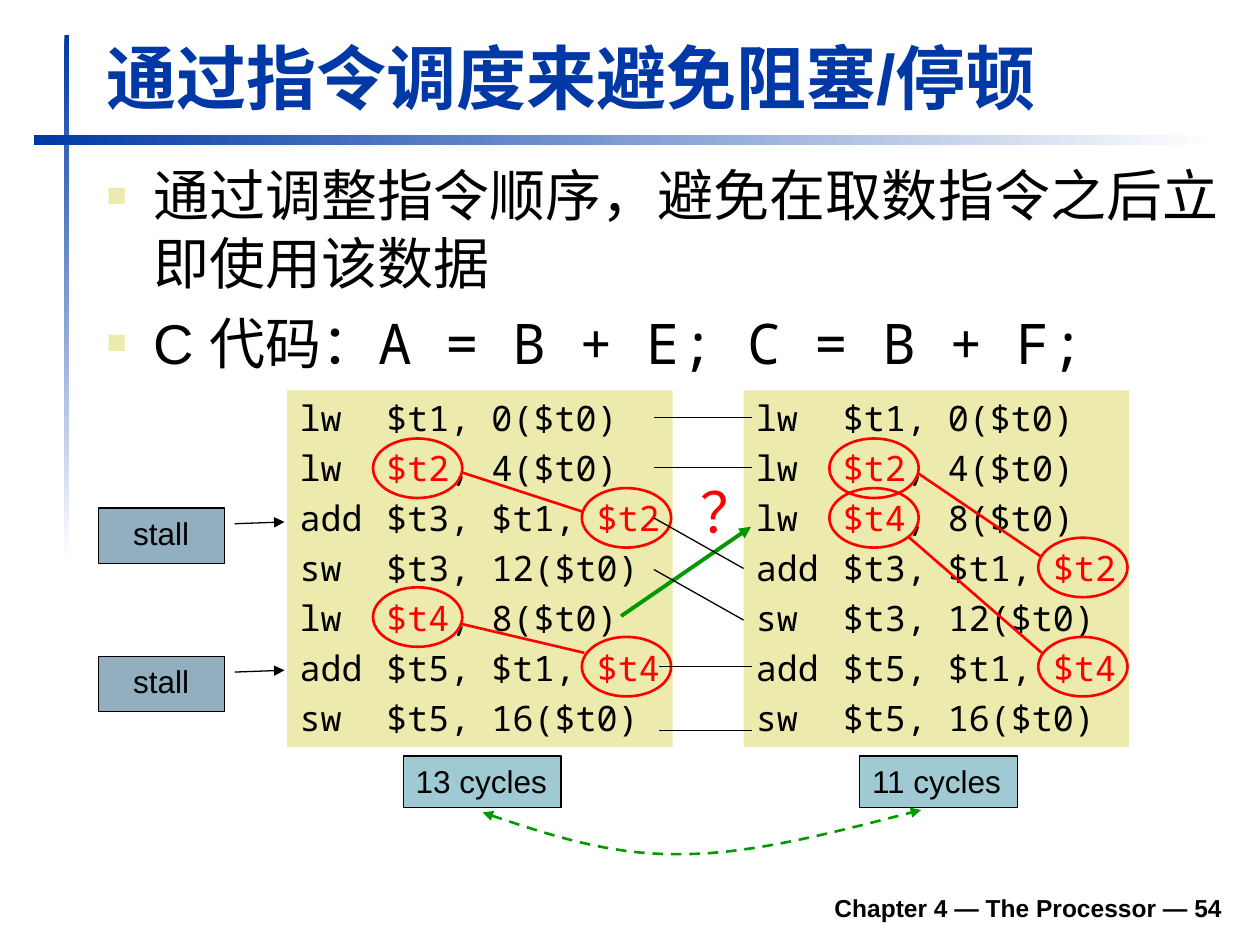
from lxml import etree
from pptx import Presentation
from pptx.dml.color import RGBColor
from pptx.enum.dml import MSO_LINE
from pptx.enum.shapes import MSO_CONNECTOR, MSO_SHAPE
from pptx.enum.text import MSO_ANCHOR, MSO_AUTO_SIZE, PP_ALIGN
from pptx.oxml.ns import qn
from pptx.util import Cm, Pt

RECT, OVAL = MSO_SHAPE.RECTANGLE, MSO_SHAPE.OVAL
CALLOUT = MSO_SHAPE.LINE_CALLOUT_1
LEFT, MID, RIGHT = PP_ALIGN.LEFT, PP_ALIGN.CENTER, PP_ALIGN.RIGHT
TOP, BOTTOM = MSO_ANCHOR.TOP, MSO_ANCHOR.BOTTOM
FIXED = MSO_AUTO_SIZE.NONE
STRAIGHT, DASH = MSO_CONNECTOR.STRAIGHT, MSO_LINE.DASH

SANS, MONO = "Arial", "Noto Sans Mono"
BLUE, RED, GREEN, BLACK = "0039A6", "FF0000", "009900", "000000"
SAND, STEEL, AQUA = "ECEAAC", "91AFBF", "9FCAD3"

# Each marked register sits between bars
OLD = ["lw\t$t1, 0($t0)", "lw\t|$t2|, 4($t0)", "add\t$t3, $t1, |$t2|",
       "sw\t$t3, 12($t0)", "lw\t|$t4|, 8($t0)", "add\t$t5, $t1, |$t4|",
       "sw\t$t5, 16($t0)"]
NEW = [OLD[i] for i in (0, 1, 4, 2, 3, 5, 6)]
PANELS = [(5.79, OLD, "13 cycles"), (14.99, NEW, "11 cycles")]

# Line ends in cm: x1, y1, x2, y2
LINKS = [(9.3, 9.52, 11.73, 10.31), (9.27, 12.57, 11.78, 13.16),
         (18.52, 9.55, 21, 11.23), (18.31, 10.82, 21, 13.16)]
MOVES = [(13.18, 8.41, 15.16, 8.41), (13.18, 9.42, 15.16, 9.42),
         (13.18, 10.44, 14.99, 11.46), (13.18, 11.48, 14.99, 12.5),
         (13.28, 13.44, 15.16, 13.44), (13.28, 14.73, 15.16, 14.73)]
CURVES = [[(9.73, 16.38), (11, 16.81), (12.27, 17.25), (13.74, 17.22)],
          [(13.74, 17.22), (15.21, 17.22), (16.89, 16.76), (18.57, 16.33)]]


def color(code):
    return RGBColor.from_string(code)


def put(obj, vals):
    for name, val in vals.items():
        setattr(obj, name, val)


def place(shape, x, y, w, h):
    put(shape, {"left": Cm(x), "top": Cm(y), "width": Cm(w), "height": Cm(h)})


def node(parent, tag, **vals):
    return etree.SubElement(parent, qn("a:" + tag), vals)


def write(para, text, size, hue=BLACK, font=SANS, bold=False):
    run = para.add_run()
    run.text = text
    put(run.font, {"size": Pt(size), "name": font, "bold": bold})
    run.font.color.rgb = color(hue)


def setup(frame, wrap=True, anchor=TOP, align=LEFT):
    put(frame, {"auto_size": FIXED, "word_wrap": wrap,
                "vertical_anchor": anchor})
    para = frame.paragraphs[0]
    para.alignment = align
    return para


def label(slide, box, **fmt):
    area = slide.shapes.add_textbox(*map(Cm, box))
    return area.text_frame, setup(area.text_frame, **fmt)


def shape(slide, kind, box, fill=None, edge=None, width=0.75):
    item = slide.shapes.add_shape(kind, *map(Cm, box))
    item.shadow.inherit = False
    if fill:
        item.fill.solid()
        item.fill.fore_color.rgb = color(fill)
    else:
        item.fill.background()
    stroke(item, edge, width)
    return item


def stroke(item, hue, width):
    if hue:
        item.line.color.rgb = color(hue)
        item.line.width = Pt(width)
    else:
        item.line.fill.background()


def arrow(item, *ends):
    line = item._element.spPr.find(qn("a:ln"))
    for end in ends:
        node(line, end, type="triangle")


def line(slide, ends, hue, width):
    item = slide.shapes.add_connector(STRAIGHT, *map(Cm, ends))
    stroke(item, hue, width)
    node(item._element.spPr, "effectLst")
    return item


def bar(slide, box, angle):
    item = shape(slide, RECT, box)
    item.fill.gradient()
    item.fill.gradient_angle = angle
    for stop, hue, pos in zip(item.fill.gradient_stops, (BLUE, "FFFFFF"), (0, 1)):
        stop.color.rgb = color(hue)
        stop.position = pos


def bullet(para):
    props = para._p.get_or_add_pPr()
    put_xml = {"marL": str(Cm(0.95)), "indent": str(-Cm(0.95))}
    for name, val in put_xml.items():
        props.set(name, val)
    node(node(props, "buClr"), "srgbClr", val=SAND)
    node(props, "buSzPct", val="60000")
    node(props, "buFont", typeface=SANS)
    node(props, "buChar", char="■")


def panel(slide, x, code):
    box = shape(slide, RECT, (x, 7.87, 7.77, 7.19), SAND)
    frame = box.text_frame
    para = setup(frame, wrap=False)
    for row, text in enumerate(code):
        if row:
            para = frame.add_paragraph()
            para.space_before = Pt(4.6)
        para.alignment = LEFT
        tabs = node(para._p.get_or_add_pPr(), "tabLst")
        node(tabs, "tab", pos=str(Cm(1.75)), algn="l")
        for i, part in enumerate(text.split("|")):
            if part:
                write(para, part, 20, RED if i % 2 else BLACK, MONO)


def rings(slide, x, code):
    for row, text in enumerate(code):
        if "|" in text:
            shift = 1.73 if text.startswith("lw") else 5.94
            shape(slide, OVAL, (x + shift, 7.84 + row, 1.8, 1.2), None, RED, 1.5)


def stall(slide, y):
    box = shape(slide, CALLOUT, (1.98, y, 2.54, 1.12), STEEL, BLACK)
    for i, val in enumerate((0.285, 1.083, 0.253, 1.479)):
        box.adjustments[i] = val
    arrow(box, "tailEnd")
    write(setup(box.text_frame, align=MID), "stall", 18)


def cycles(slide, x, text):
    box = shape(slide, RECT, (x + 2.34, 15.24, 3.18, 1.04), AQUA, BLACK)
    write(setup(box.text_frame, wrap=False), text, 18)


def bezier(ends, t):
    s = 1 - t
    parts = (s ** 3, 3 * s * s * t, 3 * s * t * t, t ** 3)
    return tuple(Cm(sum(k * p[i] for k, p in zip(parts, ends))) for i in (0, 1))


def swing(slide):
    steps = 16
    dots = [bezier(c, i / steps) for c in CURVES for i in range(1, steps + 1)]
    path = slide.shapes.build_freeform(*bezier(CURVES[0], 0))
    path.add_line_segments(dots, close=False)
    item = path.convert_to_shape()
    item.shadow.inherit = False
    item.fill.background()
    stroke(item, GREEN, 1.5)
    item.line.dash_style = DASH
    arrow(item, "headEnd", "tailEnd")


def main():
    deck = Presentation()
    put(deck, {"slide_width": Cm(25.4), "slide_height": Cm(19.05)})
    slide = deck.slides.add_slide(deck.slide_layouts[5])

    # Frame, title and footer
    bar(slide, (1.3, 0.71, 0.1, 10.59), 270)
    bar(slide, (0.69, 2.72, 23.8, 0.2), 0)
    title = slide.shapes.title
    place(title, 1.9, 0.56, 22.94, 1.96)
    write(setup(title.text_frame, anchor=BOTTOM), "通过指令调度来避免阻塞/停顿", 40, BLUE, bold=True)
    _, para = label(slide, (4.7, 17.73, 20.19, 0.99), anchor=BOTTOM, align=RIGHT)
    write(para, "Chapter 4 — The Processor — 54", 14, bold=True)

    # Bullet points
    frame, para = label(slide, (1.9, 3.12, 22.99, 5.13))
    bullet(para)
    write(para, "通过调整指令顺序，避免在取数指令之后立即使用该数据", 32)
    para = frame.add_paragraph()
    para.space_before = Pt(7.5)
    bullet(para)
    write(para, "C 代码：", 32)
    write(para, "A = B + E; C = B + F;", 32, font=MONO)

    # Code before and after scheduling
    for x, code, _ in PANELS:
        panel(slide, x, code)
    for y in (10.24, 13.23):
        stall(slide, y)
    arrow(line(slide, (12.52, 12.42, 15.14, 10.62), GREEN, 2.25), "tailEnd")
    for x, code, text in PANELS:
        rings(slide, x, code)
        cycles(slide, x, text)

    # Dependences and moved lines
    for ends in LINKS:
        line(slide, ends, RED, 1.5)
    _, para = label(slide, (13.87, 9.5, 1.32, 1.63))
    write(para, "？", 32, RED)
    swing(slide)
    for ends in MOVES:
        line(slide, ends, BLACK, 0.75)

    deck.save("out.pptx")


if __name__ == "__main__":
    main()
